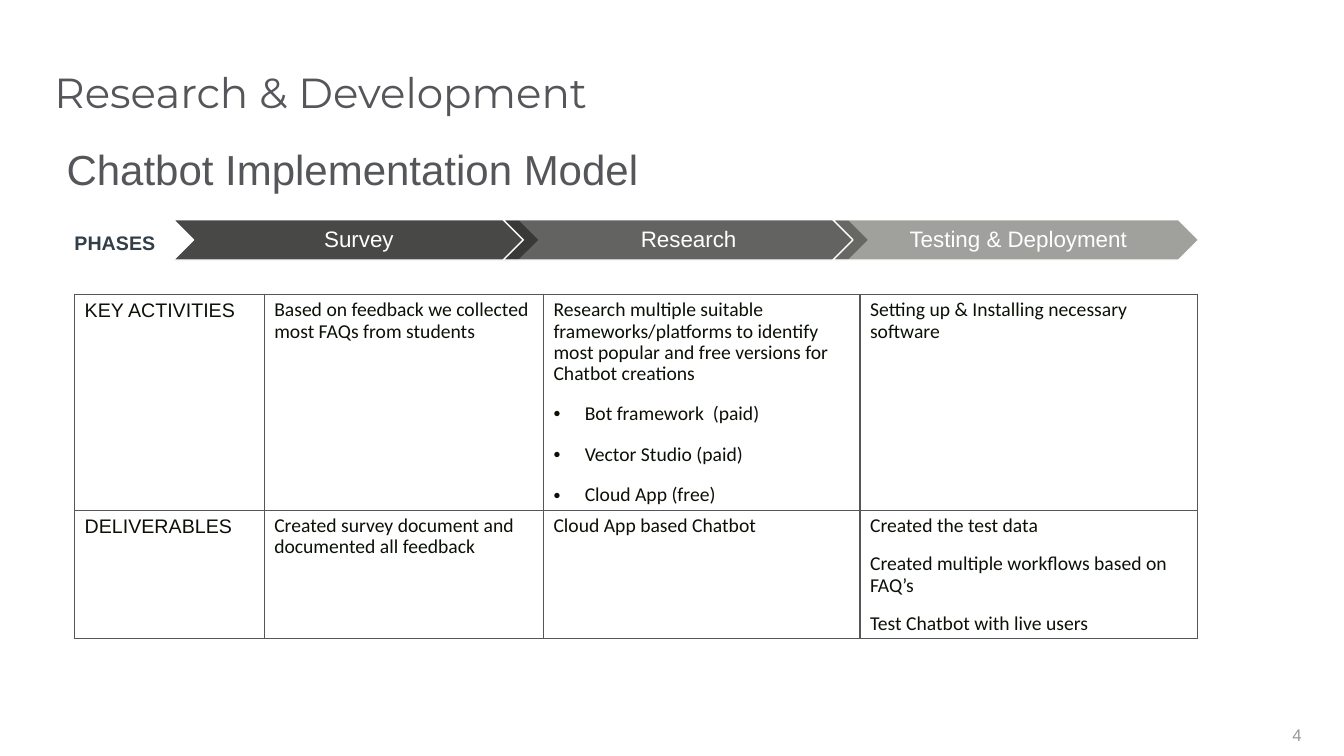
from lxml import etree
from pptx import Presentation
from pptx.dml.color import RGBColor
from pptx.enum.shapes import MSO_SHAPE
from pptx.enum.text import MSO_ANCHOR, MSO_AUTO_SIZE, PP_ALIGN
from pptx.oxml.ns import qn
from pptx.util import Inches, Pt

CHEVRON = MSO_SHAPE.CHEVRON
TOP, MIDDLE, BOTTOM = MSO_ANCHOR.TOP, MSO_ANCHOR.MIDDLE, MSO_ANCHOR.BOTTOM
NO_FIT = MSO_AUTO_SIZE.NONE
LEFT, CENTER, RIGHT = PP_ALIGN.LEFT, PP_ALIGN.CENTER, PP_ALIGN.RIGHT

COLORS = {
    "heading": "55565A", "number": "999A9B", "phases": "333F48",
    "dark": "353533", "light": "6A6A65", "white": "FFFFFF", "cell": "0B1107",
}


def write(frame, text, size=14, font="Arial", color="cell", bold=False, align=LEFT,
          anchor=TOP, spacing=1.0, before=0, insets=None, bullets_from=None):
    frame.word_wrap = True
    frame.vertical_anchor = anchor
    if insets:
        (frame.margin_left, frame.margin_top,
         frame.margin_right, frame.margin_bottom) = [Inches(inset) for inset in insets]
    for index, line in enumerate(text.split("\n")):
        para = frame.paragraphs[0] if index == 0 else frame.add_paragraph()
        bulleted = bullets_from is not None and index >= bullets_from
        para.alignment = align
        para.line_spacing = 1.0 if bulleted else spacing
        para.space_before = Pt(before)
        properties = para._p.get_or_add_pPr()
        indent = Inches(0.31) if bulleted else 0
        properties.set("marL", str(indent))
        properties.set("indent", str(-indent))
        if bulleted:
            etree.SubElement(properties, qn("a:buFont"), typeface="Arial")
            etree.SubElement(properties, qn("a:buChar"), char="•")
        else:
            etree.SubElement(properties, qn("a:buNone"))
        span = para.add_run()
        span.text = line
        span.font.size = Pt(size)
        span.font.name = font
        span.font.bold = bold
        span.font.color.rgb = RGBColor.from_string(COLORS[color])


def place(shape, left, top, width, height):
    shape.left, shape.top = Inches(left), Inches(top)
    shape.width, shape.height = Inches(width), Inches(height)


deck = Presentation()
deck.slide_width, deck.slide_height = Inches(13.33), Inches(7.5)
page = deck.slides.add_slide(deck.slide_layouts[1])

title, subtitle = page.shapes.title, page.placeholders[1]
place(title, 0.54, 0, 12.38, 1.17)
place(subtitle, 0.66, 1.66, 11.52, 0.27)
for heading, text, font in [(title, "Research & Development", "Montserrat"),
                            (subtitle, "Chatbot Implementation Model", "Arial")]:
    heading.text_frame.auto_size = NO_FIT
    write(heading.text_frame, text, size=30, font=font, color="heading",
          anchor=BOTTOM, spacing=0.9, insets=(0, 0, 0, 0))

number = page.shapes.add_textbox(0, 0, 0, 0)
place(number, 12.32, 7.09, 0.59, 0.4)
write(number.text_frame, "4", size=12, color="number", align=RIGHT, anchor=MIDDLE,
      insets=(0, 0, 0, 0))

phases_label = page.shapes.add_textbox(0, 0, 0, 0)
place(phases_label, 0.64, 2.24, 1.09, 0.34)
write(phases_label.text_frame, "PHASES", color="phases", bold=True, anchor=MIDDLE)

PHASE_LEFT, PHASE_TOP, PHASE_STEP = 1.72, 2.18, 3.27
PHASE_WIDTH, PHASE_HEIGHT, LABEL_INSET = 3.63, 0.4, 0.2
phases = [("Survey", "dark", 90), ("Research", "dark", 77),
          ("Testing & Deployment", "light", 63)]
process = page.shapes.add_group_shape()
for index, (name, color, opacity) in enumerate(phases):
    left = PHASE_LEFT + index * PHASE_STEP
    chevron = process.shapes.add_shape(CHEVRON, 0, 0, 0, 0)
    place(chevron, left, PHASE_TOP, PHASE_WIDTH, PHASE_HEIGHT)
    chevron.shadow.inherit = False
    chevron.fill.solid()
    chevron.fill.fore_color.rgb = RGBColor.from_string(COLORS[color])
    fill_color = chevron._element.spPr.find(qn("a:solidFill"))[0]
    etree.SubElement(fill_color, qn("a:alpha"), val=str(opacity * 1000))
    chevron.line.color.rgb = RGBColor.from_string(COLORS["white"])
    chevron.line.width = Pt(1)
    label = process.shapes.add_textbox(0, 0, 0, 0)
    place(label, left + LABEL_INSET, PHASE_TOP, PHASE_WIDTH - 2 * LABEL_INSET, PHASE_HEIGHT)
    write(label.text_frame, name, size=16, color="white", align=CENTER, anchor=MIDDLE,
          spacing=0.9, insets=(0.07, 0.02, 0.02, 0.02))

column_widths = [1.88, 2.77, 3.14, 3.35]
row_heights = [2.14, 1.27]
activities = [
    ["KEY ACTIVITIES",
     "Based on feedback we collected most FAQs from students",
     "Research multiple suitable frameworks/platforms to identify most popular and free "
     "versions for Chatbot creations\nBot framework  (paid)\nVector Studio (paid)\n"
     "Cloud App (free)",
     "Setting up & Installing necessary software"],
    ["DELIVERABLES",
     "Created survey document and documented all feedback",
     "Cloud App based Chatbot",
     "Created the test data\nCreated multiple workflows based on FAQ’s\n"
     "Test Chatbot with live users"],
]
table = page.shapes.add_table(
    len(row_heights), len(column_widths), Inches(0.74), Inches(2.92),
    Inches(sum(column_widths)), Inches(sum(row_heights))).table
table.first_row = table.horz_banding = False
for column, width in zip(table.columns, column_widths):
    column.width = Inches(width)
for row, height in zip(table.rows, row_heights):
    row.height = Inches(height)

for row, texts in enumerate(activities):
    for column, text in enumerate(texts):
        cell = table.cell(row, column)
        if column == 0:
            write(cell.text_frame, text)
        else:
            write(cell.text_frame, text, font="Calibri", spacing=0.9, before=12,
                  bullets_from=1 if (row, column) == (0, 2) else None)
        cell_properties = cell._tc.get_or_add_tcPr()
        for side in ("a:lnL", "a:lnR", "a:lnT", "a:lnB"):
            border = etree.SubElement(cell_properties, qn(side), w=str(Pt(1)))
            border_fill = etree.SubElement(border, qn("a:solidFill"))
            etree.SubElement(border_fill, qn("a:srgbClr"), val=COLORS["heading"])
        cell.fill.background()

deck.save("out.pptx")
